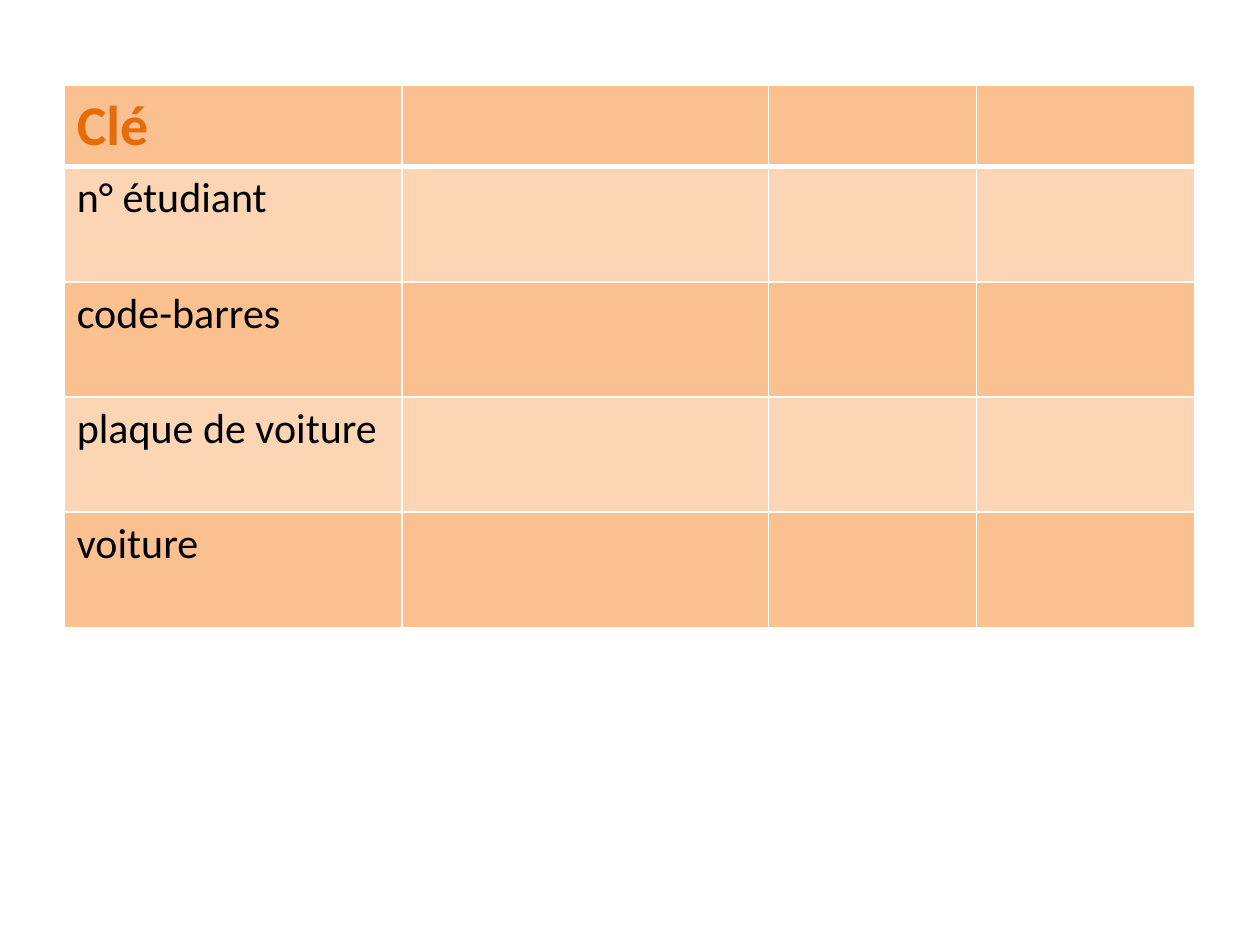
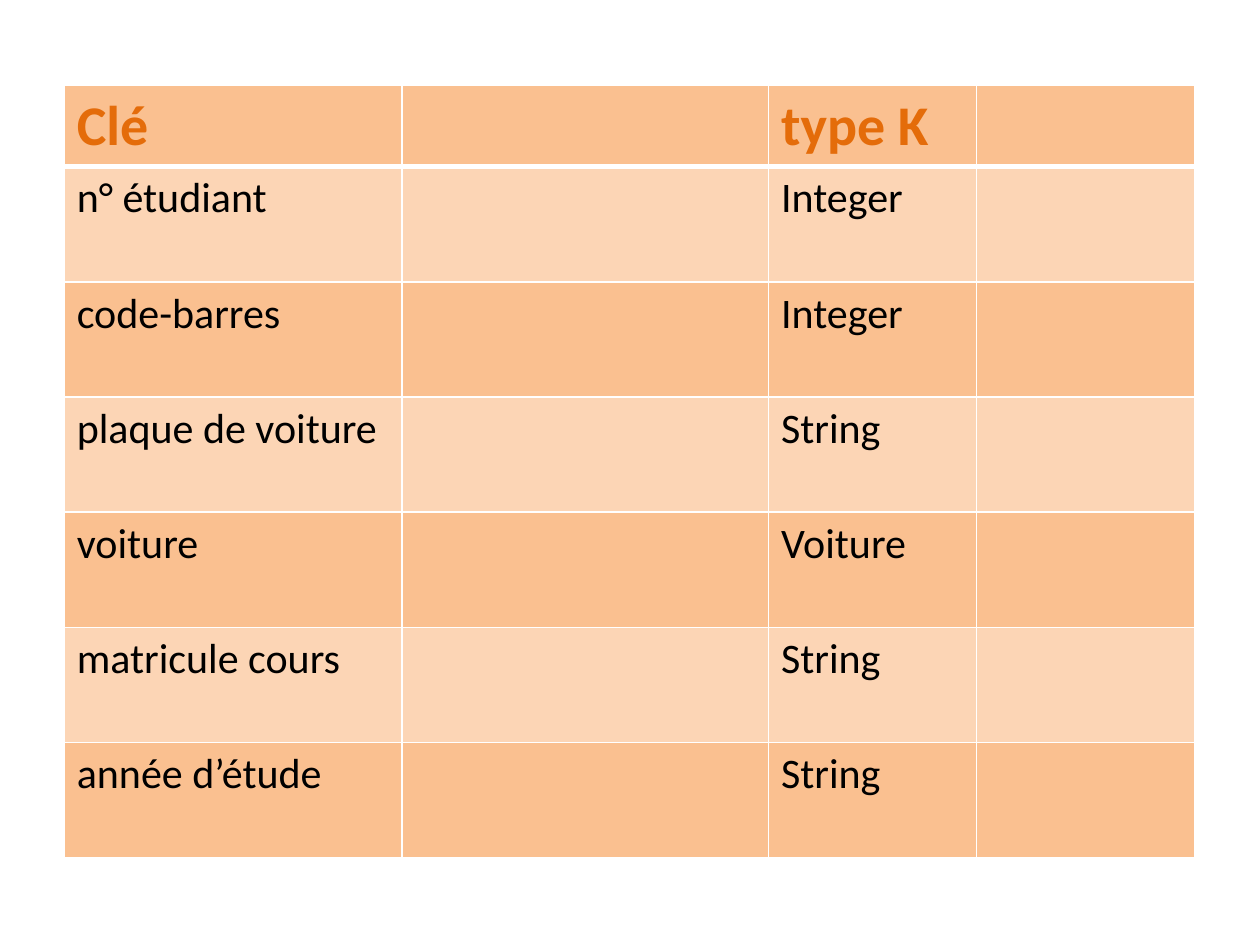
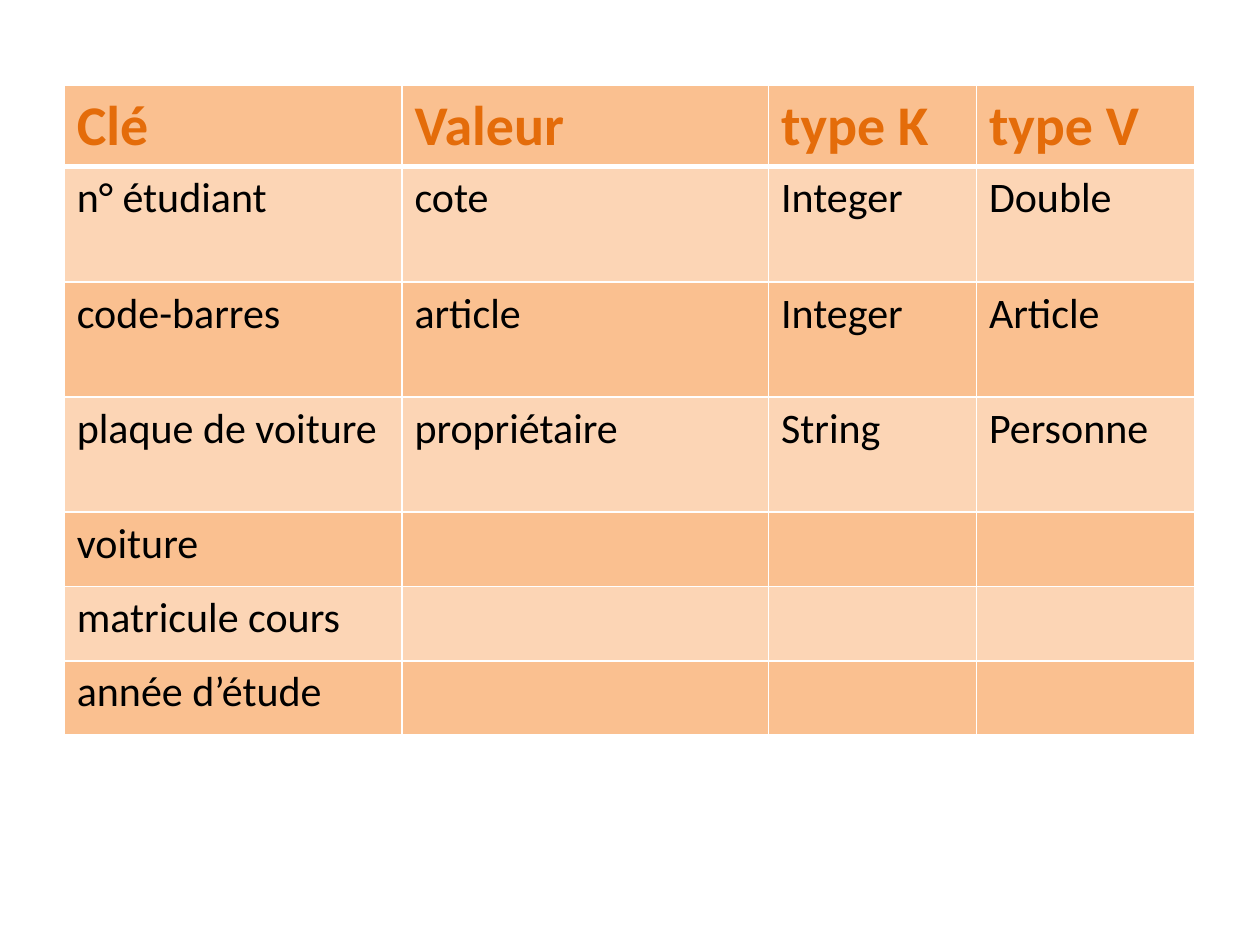
from dataclasses import dataclass

from lxml import etree
from pptx import Presentation
from pptx import util as u
from pptx.dml.color import RGBColor
from pptx.oxml import ns

SLIDE_W, SLIDE_H = 10, 7.5
LEFT, TOP = 0.51, 0.68
COLUMN_WIDTHS = (2.68, 2.91, 1.65, 1.73)
HEADER_H, TALL_H, SHORT_H = 0.64, 0.914, 0.59

FONT = "Calibri"
ACCENT, INK, GRID = "E46C0A", "000000", "FFFFFF"
BANDS = ("FAC090", "FCD5B5")
THIN, THICK = 1, 3

ENTRIES = (
    ("Clé", "Valeur", "type K", "type V"),
    ("n° étudiant", "cote", "Integer", "Double"),
    ("code-barres", "article", "Integer", "Article"),
    ("plaque de voiture", "propriétaire", "String", "Personne"),
    ("voiture", "", "Voiture", ""),
    ("matricule cours", "", "String", ""),
    ("année d’étude", "", "String", ""),
)


@dataclass(frozen=True)
class Step:
    """Rows revealed in each column, header included, and the tall body rows."""
    revealed: tuple[int, int, int, int]
    tall_rows: int


STEPS = (
    Step(revealed=(5, 0, 0, 0), tall_rows=4),
    Step(revealed=(7, 0, 7, 0), tall_rows=6),
    Step(revealed=(7, 4, 4, 4), tall_rows=3),
)


def rgb(code: str) -> RGBColor:
    return RGBColor.from_string(code)


def write(tf, content: str, *, size: float, color: str, bold: bool = False) -> None:
    r = tf.paragraphs[0].add_run()
    r.text = content
    r.font.name, r.font.size, r.font.bold = FONT, u.Pt(size), bold
    r.font.color.rgb = rgb(color)


def set_borders(cell, **widths: float) -> None:
    """Draw the grid lines of a cell; call before filling it."""
    props = cell._tc.get_or_add_tcPr()
    for side in "LRTB":
        width = str(u.Pt(widths.get(side, THIN)))
        line = etree.SubElement(props, ns.qn(f"a:ln{side}"), w=width)
        fill = etree.SubElement(line, ns.qn("a:solidFill"))
        etree.SubElement(fill, ns.qn("a:srgbClr"), val=GRID)


def row_height(row: int, step: Step) -> float:
    if row == 0:
        return HEADER_H
    return TALL_H if row <= step.tall_rows else SHORT_H


def format_cell(cell, row: int) -> None:
    edges = {0: {"B": THICK}, 1: {"T": THICK}}
    set_borders(cell, **edges.get(row, {}))
    cell.fill.solid()
    cell.fill.fore_color.rgb = rgb(BANDS[row % 2])


def add_key_table(s, step: Step) -> None:
    heights = [row_height(row, step) for row in range(max(step.revealed))]
    table = s.shapes.add_table(
        len(heights), len(COLUMN_WIDTHS), u.Inches(LEFT), u.Inches(TOP),
        u.Inches(sum(COLUMN_WIDTHS)), u.Inches(sum(heights))).table
    for column, width in zip(table.columns, COLUMN_WIDTHS):
        column.width = u.Inches(width)
    for row, height in enumerate(heights):
        table.rows[row].height = u.Inches(height)
        style = (dict(size=32, color=ACCENT, bold=True) if row == 0
                 else dict(size=24, color=INK))
        for col, content in enumerate(ENTRIES[row]):
            cell = table.cell(row, col)
            format_cell(cell, row)
            if content and row < step.revealed[col]:
                write(cell.text_frame, content, **style)


def main() -> None:
    prs = Presentation()
    prs.slide_width, prs.slide_height = u.Inches(SLIDE_W), u.Inches(SLIDE_H)
    blank = prs.slide_layouts[6]
    for step in STEPS:
        add_key_table(prs.slides.add_slide(blank), step)
    prs.save("out.pptx")


if __name__ == "__main__":
    main()
